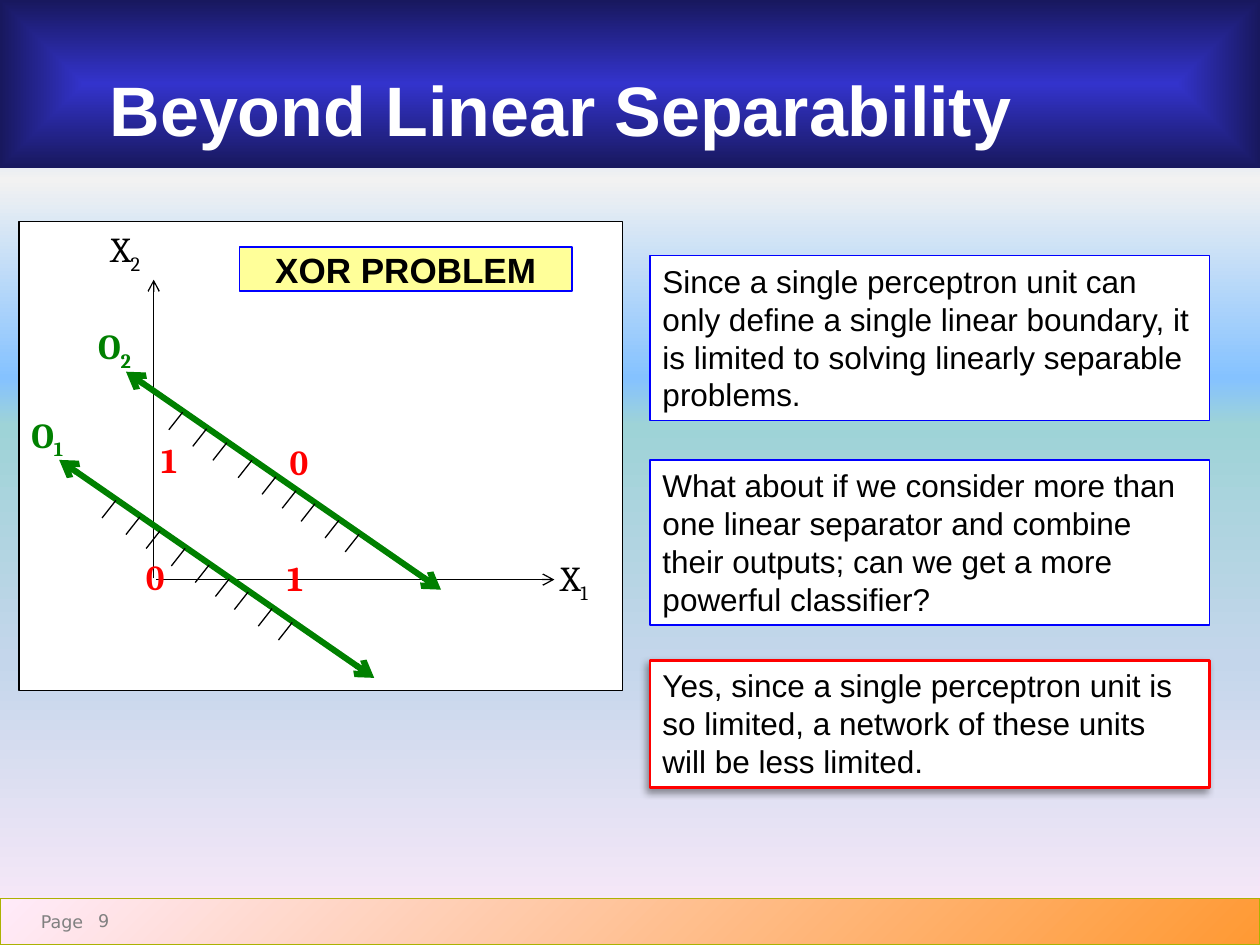
"""Build the slide on the XOR problem and the limits of a single linear separator."""
from pptx import Presentation
from pptx import util as u
from pptx.dml.color import RGBColor
from pptx.enum import shapes, text
from pptx.oxml import parse_xml
from pptx.oxml.ns import nsdecls, qn

COLORS = {
    "black": "000000", "white": "FFFFFF", "grey": "808080", "red": "FF0000",
    "green": "008000", "blue": "0000FF", "yellow": "FFFF99", "olive": "ABB202",
}
SKY = [(0, "5E9EFF"), (19, "F2F2F2"), (40, "85C2FF"), (45, "9ED3D7"), (70, "C4D6EB"), (100, "FFEBFA")]
FOOTER = [(0, "FFEBFA"), (100, "FF9933")]
BANNER = [(0, "3333CC"), (100, "18185E")]
DEFAULT_INSETS = (0.1, 0.05, 0.1, 0.05)
STATEMENTS = [
    (2.03, 1.31, "Since a single perceptron unit can only define a single linear boundary, "
                 "it is limited to solving linearly separable problems."),
    (3.65, 1.31, "What about if we consider more than one linear separator and combine "
                 "their outputs; can we get a more powerful classifier?"),
    (5.24, 1.01, "Yes, since a single perceptron unit is so limited, "
                 "a network of these units will be less limited."),
]
HATCH_OFFSETS = [0.45, 0.64, 0.8, 1, 1.19, 1.35, 1.5, 1.69, 1.85]


def rgb(name):
    return RGBColor.from_string(COLORS[name])


def write_text(shape, content, font="Arial", size=18, color="black", bold=False, subscript="",
               align=text.PP_ALIGN.LEFT, anchor=text.MSO_ANCHOR.TOP, insets=DEFAULT_INSETS,
               wrap=True, grow=False):
    """Fill a shape with one formatted paragraph and an optional subscript."""
    frame = shape.text_frame
    frame.word_wrap = wrap
    frame.auto_size = text.MSO_AUTO_SIZE.SHAPE_TO_FIT_TEXT if grow else text.MSO_AUTO_SIZE.NONE
    frame.vertical_anchor = anchor
    frame.margin_left, frame.margin_top, frame.margin_right, frame.margin_bottom = map(u.Inches, insets)
    paragraph = frame.paragraphs[0]
    paragraph.alignment = align
    for part in filter(None, (content, subscript)):
        run = paragraph.add_run()
        run.text = part
        run.font.name, run.font.size, run.font.bold = font, u.Pt(size), bold
        run.font.color.rgb = rgb(color)
    if subscript:
        run._r.get_or_add_rPr().set("baseline", "-25000")


def set_gradient(fill, parent, stops, angle=None):
    """Give a fill a linear gradient, or one from the centre when there is no angle."""
    fill.gradient()
    stop_xml = "".join(f'<a:gs pos="{position * 1000}"><a:srgbClr val="{color}"/></a:gs>'
                       for position, color in stops)
    if angle is None:
        direction = ('<a:path path="shape"><a:fillToRect l="50000" t="50000" r="50000" b="50000"/>'
                     '</a:path>')
    else:
        direction = f'<a:lin ang="{angle * 60000}" scaled="0"/>'
    old = next(parent.iter(qn("a:gradFill")))
    old.getparent().replace(old, parse_xml(
        f'<a:gradFill {nsdecls("a")} rotWithShape="1"><a:gsLst>{stop_xml}</a:gsLst>'
        f'{direction}</a:gradFill>'))


class SlideBuilder:
    """Hold the slide and its shared style."""

    def __init__(self, slide):
        self.slide = slide
        self.line_width = 0.75

    def background(self, stops, angle):
        set_gradient(self.slide.background.fill, self.slide._element, stops, angle)

    def title(self, content, box, stops):
        title = self.slide.shapes.title
        title.left, title.top, title.width, title.height = map(u.Inches, box)
        set_gradient(title.fill, title._element, stops)
        write_text(title, content, size=40, color="white", bold=True, insets=(0.87, 0.53, 0, 0))

    def box(self, box, line, fill="white", width=None):
        shape = self.slide.shapes.add_shape(shapes.MSO_SHAPE.RECTANGLE, *map(u.Inches, box))
        shape.shadow.inherit = False
        shape.fill.solid()
        shape.fill.fore_color.rgb = rgb(fill)
        shape.line.color.rgb = rgb(line)
        shape.line.width = u.Pt(width or self.line_width)
        return shape

    def label(self, content, box, **style):
        write_text(self.slide.shapes.add_textbox(*map(u.Inches, box)), content, **style)

    def symbol(self, content, left, top, **style):
        self.label(content, (left, top, 0.5, 0.44), font="Cambria", size=20,
                   wrap=False, grow=True, **style)

    def line(self, start, end, color="black", width=None, arrows=()):
        connector = self.slide.shapes.add_connector(
            shapes.MSO_CONNECTOR.STRAIGHT, *map(u.Inches, (*start, *end)))
        connector.line.color.rgb = rgb(color)
        connector.line.width = u.Pt(width or self.line_width)
        for arrow in arrows:
            connector.line._get_or_add_ln().append(
                parse_xml(f'<a:{arrow} {nsdecls("a")} type="arrow"/>'))
        connector._element.spPr.append(parse_xml(f'<a:effectLst {nsdecls("a")}/>'))

    def shadow(self, shape):
        shape._element.spPr.find(qn("a:effectLst")).append(parse_xml(
            f'<a:outerShdw {nsdecls("a")} blurRad="{u.Pt(4)}" dist="{u.Pt(3)}" dir="{135 * 60000}" '
            'algn="tr" rotWithShape="0"><a:srgbClr val="000000"><a:alpha val="40000"/></a:srgbClr>'
            '</a:outerShdw>'))

    def separator(self, left, top, number):
        run, rise = 2.5, 1.73
        self.line((left, top), (left + run, top + rise), "green", 3.5, ("headEnd", "tailEnd"))
        self.symbol("O", left - 0.32, top - 0.42, color="green", bold=True, subscript=number)
        for offset in HATCH_OFFSETS:
            x, y = left + offset, top + 0.01 + offset * rise / run
            self.line((x, y), (x - 0.11, y + 0.14))


def main():
    presentation = Presentation()
    presentation.slide_width, presentation.slide_height = u.Inches(10), u.Inches(7.5)
    builder = SlideBuilder(presentation.slides.add_slide(presentation.slide_layouts[5]))
    builder.background(SKY, 90)
    builder.title("Beyond Linear Separability", (0, 0, 10, 1.33), BANNER)

    footer = builder.box((0, 7.13, 10, 0.37), "olive")
    set_gradient(footer.fill, footer._element, FOOTER, 45)
    footer_style = dict(font="DejaVu Sans", size=10, color="grey", insets=(0, 0, 0, 0))
    builder.label("Page", (0.27, 7.23, 0.39, 0.17), align=text.PP_ALIGN.RIGHT, **footer_style)
    builder.label("9", (0.78, 7.22, 0.33, 0.23), **footer_style)

    builder.box((0.15, 1.76, 4.79, 3.72), "black")
    builder.line((1.24, 4.6), (4.4, 4.6), arrows=["tailEnd"])
    builder.line((1.22, 4.59), (1.22, 2.22), arrows=["tailEnd"])
    builder.symbol("X", 4.35, 4.37, subscript="1")
    builder.symbol("X", 0.78, 1.76, subscript="2")
    for value, left, top in [("0", 1.06, 4.36), ("0", 2.2, 3.45), ("1", 1.18, 3.43), ("1", 2.18, 4.37)]:
        builder.symbol(value, left, top, color="red", bold=True)
    heading = builder.box((1.9, 1.96, 2.64, 0.35), "blue", "yellow")
    write_text(heading, "XOR PROBLEM", size=20, bold=True, align=text.PP_ALIGN.CENTER,
               anchor=text.MSO_ANCHOR.MIDDLE, insets=(0, 0, 0, 0))
    builder.separator(0.47, 3.65, "1")
    builder.separator(1, 2.95, "2")

    for top, height, statement in STATEMENTS:
        is_answer = statement.startswith("Yes")
        line, width = ("red", 1.5) if is_answer else ("blue", None)
        shape = builder.box((5.16, top, 4.44, height), line, width=width)
        write_text(shape, statement, grow=True)
        if is_answer:
            builder.shadow(shape)

    presentation.save("out.pptx")


if __name__ == "__main__":
    main()
